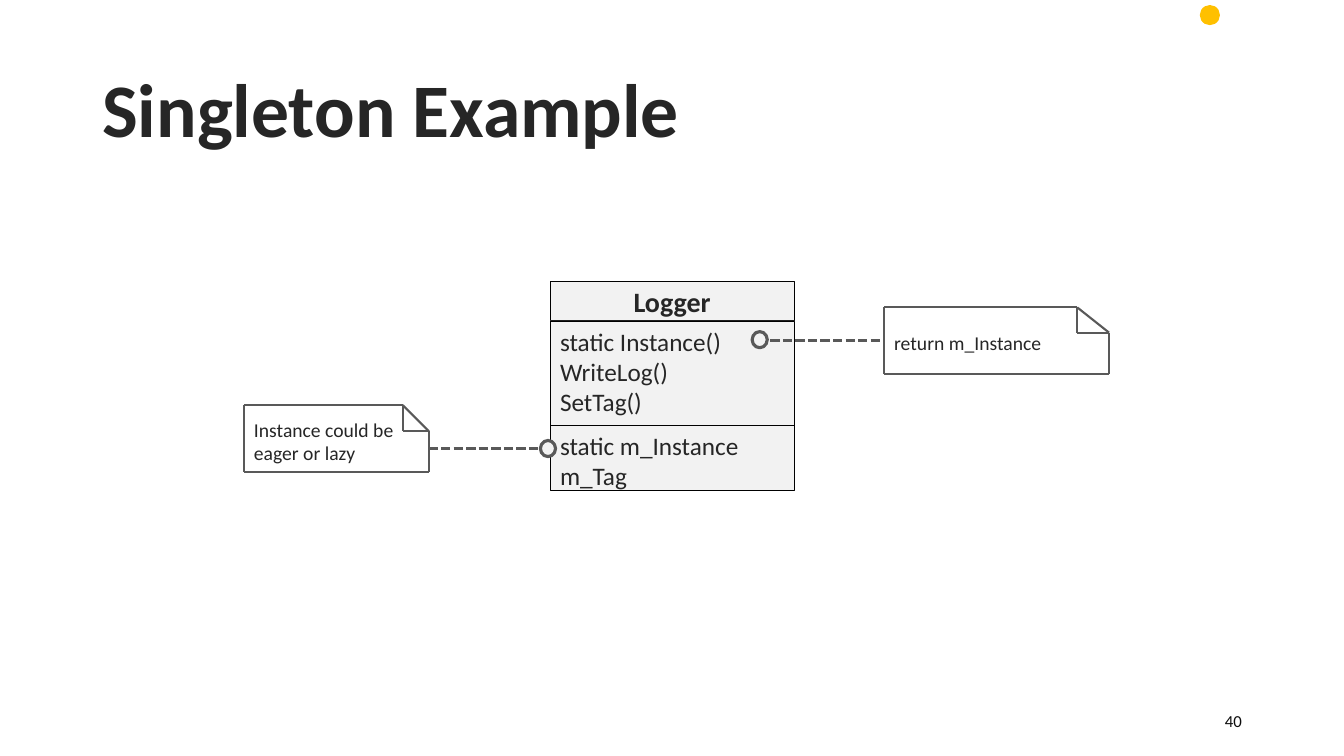
from dataclasses import dataclass

from lxml import etree
from pptx import Presentation
from pptx.dml.color import RGBColor
from pptx.enum.dml import MSO_LINE
from pptx.enum.shapes import MSO_CONNECTOR, MSO_SHAPE
from pptx.enum.text import MSO_ANCHOR, PP_ALIGN
from pptx.oxml.ns import qn
from pptx.util import Inches, Pt

RECTANGLE, OVAL = MSO_SHAPE.RECTANGLE, MSO_SHAPE.OVAL
STRAIGHT = MSO_CONNECTOR.STRAIGHT
SHORT_DASH = MSO_LINE.SQUARE_DOT
TOP, MIDDLE = MSO_ANCHOR.TOP, MSO_ANCHOR.MIDDLE
LEFT, CENTER, RIGHT = PP_ALIGN.LEFT, PP_ALIGN.CENTER, PP_ALIGN.RIGHT


@dataclass(frozen=True)
class Theme:
    font: str = "Calibri"
    ink: RGBColor = RGBColor(0x26, 0x26, 0x26)
    number_ink: RGBColor = RGBColor(0x0D, 0x0D, 0x0D)
    panel: RGBColor = RGBColor(0xF2, 0xF2, 0xF2)
    border: RGBColor = RGBColor(0, 0, 0)
    note_line: RGBColor = RGBColor(0x59, 0x59, 0x59)
    emblem: RGBColor = RGBColor(0xFF, 0xC0, 0)
    title_size: int = 54
    class_size: int = 20
    member_size: int = 18
    note_size: int = 14
    number_size: int = 12


theme = Theme()
deck = Presentation()
deck.slide_width, deck.slide_height = Inches(13.33), Inches(7.5)
slide = deck.slides.add_slide(deck.slide_layouts[6])
shapes = slide.shapes
CELL = deck.slide_height / 75  # the grid has 75 rows of square cells


def grid(*cells):
    return [round(cell * CELL) for cell in cells]


def write(box, text, size, bold=False, color=theme.ink, align=LEFT,
          anchor=TOP, line_spacing=None):
    """Fill the box with one paragraph per line of text."""
    frame = box.text_frame
    frame.word_wrap = True
    frame.vertical_anchor = anchor
    frame.text = text
    for para in frame.paragraphs:
        para.alignment = align
        para.line_spacing = line_spacing
        font = para.font
        font.name, font.size, font.bold = theme.font, Pt(size), bold
        font.color.rgb = color


emblem = shapes.add_shape(OVAL, *grid(119, 0.5, 2, 2))
emblem.shadow.inherit = False
emblem.fill.solid()
emblem.fill.fore_color.rgb = theme.emblem
emblem.line.fill.background()

title = shapes.add_textbox(*grid(9.16, 4, 115, 14.5))
write(title, "Singleton Example", theme.title_size, bold=True,
      anchor=MIDDLE, line_spacing=0.9)

page_number = shapes.add_textbox(*grid(94.16, 69.5, 30, 4))
write(page_number, "40", theme.number_size, color=theme.number_ink,
      align=RIGHT, anchor=MIDDLE)

# Class diagram: the fields cover the lower edge of the methods
name_format = dict(size=theme.class_size, bold=True, align=CENTER, anchor=MIDDLE)
member_format = dict(size=theme.member_size)
compartments = [
    ("Logger", 27.9, 3.9, name_format),
    ("static Instance()\nWriteLog()\nSetTag()", 31.84, 13.4, member_format),
    ("static m_Instance\nm_Tag", 42.2, 6.46, member_format),
]
for text, top, height, text_format in compartments:
    compartment = shapes.add_shape(RECTANGLE, *grid(54.56, top, 24.2, height))
    compartment.shadow.inherit = False
    compartment.fill.solid()
    compartment.fill.fore_color.rgb = theme.panel
    compartment.line.color.rgb = theme.border
    compartment.line.width = Pt(0.5)
    write(compartment, text, **text_format)

# Lines: start and end of each, then width and dash style
note_strokes, dash_strokes = [], []

# Notes: text, left, top, width, fold width, fold height, text top and size
NOTE_HEIGHT = 6.6
notes = [
    ("return m_Instance", 87.7, 30.5, 22.3, 3.15, 2.5, 32.3, 19.6, 3.4),
    ("Instance could be eager or lazy", 24.2, 40.2, 18.35, 2.6, 2.6,
     40.9, 16.1, 5.7),
]
for (text, left, top, width, fold_width, fold_height,
     text_top, text_width, text_height) in notes:
    right, bottom = left + width, top + NOTE_HEIGHT
    fold_left, fold_bottom = right - fold_width, top + fold_height
    # Around the note, then back along the fold
    corners = [(fold_left, top), (left, top), (left, bottom), (right, bottom),
               (right, fold_bottom), (fold_left, top),
               (fold_left, fold_bottom), (right, fold_bottom)]
    note_strokes += zip(corners, corners[1:])
    label = shapes.add_textbox(*grid(left, text_top, text_width, text_height))
    write(label, text, theme.note_size, anchor=MIDDLE)

# Anchors: ring left, ring top, then the start, end and row of the dashes
anchors = [
    (74.6, 32.9, 76.4, 87.4, 33.8),
    (53.6, 43.7, 42.5, 53.5, 44.5),
]
for ring_left, ring_top, start, end, row in anchors:
    ring = shapes.add_shape(OVAL, *grid(ring_left, ring_top, 1.5, 1.6))
    ring.shadow.inherit = False
    ring.fill.solid()
    ring.fill.fore_color.rgb = theme.panel
    ring.line.color.rgb = theme.note_line
    ring.line.width = Pt(2.25)
    dash_strokes.append(((start, row), (end, row)))

for strokes, weight, dash_style in ((note_strokes, 1.5, None),
                                    (dash_strokes, 2.25, SHORT_DASH)):
    for start, end in strokes:
        stroke = shapes.add_connector(STRAIGHT, *grid(*start, *end))
        stroke.line.color.rgb = theme.note_line
        stroke.line.width = Pt(weight)
        stroke.line.dash_style = dash_style
        etree.SubElement(stroke._element.spPr, qn("a:effectLst"))

deck.save("out.pptx")
